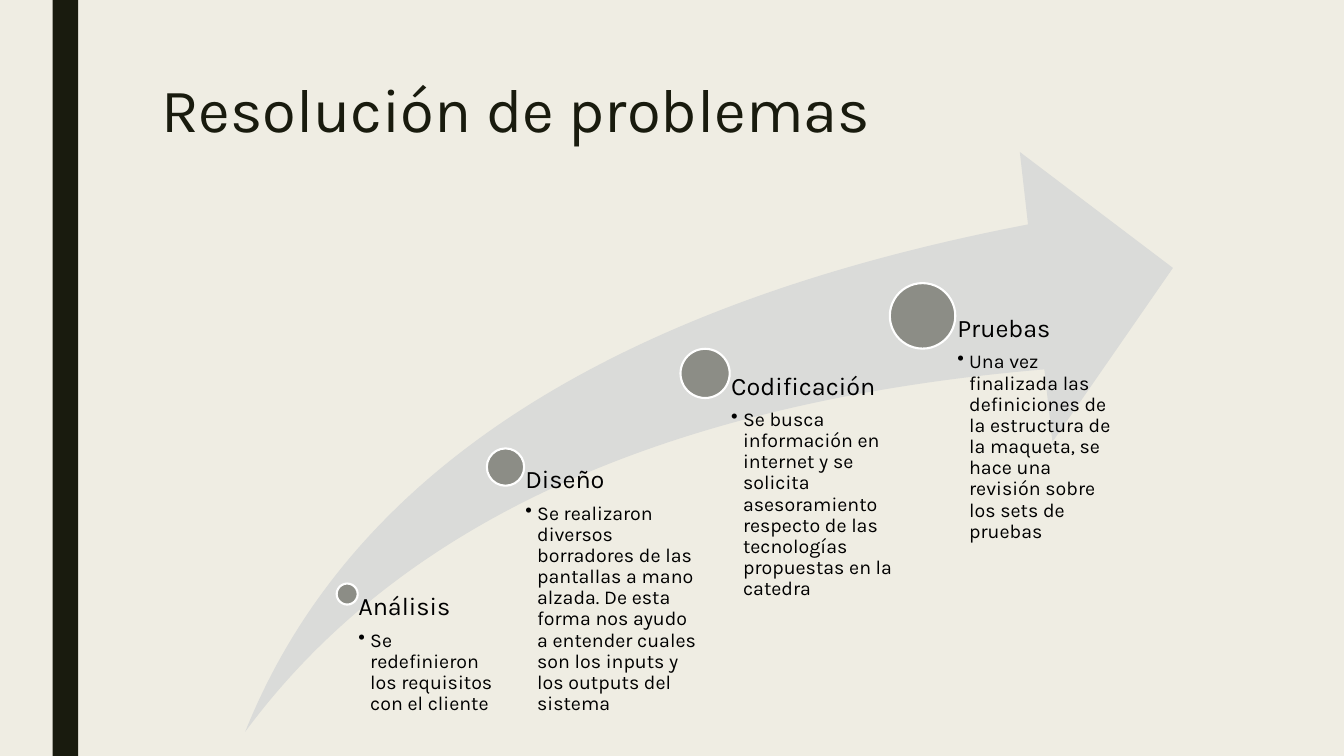
"""Build the problem-solving slide: four growing steps along a swoosh arrow."""
from dataclasses import dataclass

import pptx
import pptx.dml.color
import pptx.enum.shapes
import pptx.oxml
import pptx.oxml.ns
import pptx.shapes.autoshape
import pptx.shapes.shapetree
import pptx.text.text
import pptx.util
from pptx.util import Cm

CREAM = pptx.dml.color.RGBColor(0xEF, 0xED, 0xE3)
DARK_OLIVE = pptx.dml.color.RGBColor(0x19, 0x1B, 0x0E)
PALE_GREY = pptx.dml.color.RGBColor(0xDA, 0xDB, 0xD9)
STONE = pptx.dml.color.RGBColor(0x8C, 0x8D, 0x86)
WHITE = pptx.dml.color.RGBColor(0xFF, 0xFF, 0xFF)
BLACK = pptx.dml.color.RGBColor(0x00, 0x00, 0x00)

FONT = "Karla"
SLIDE_WIDTH, SLIDE_HEIGHT = 33.87, 19.05
DIAGRAM_BOTTOM = 18.44
INSET_PER_DIAMETER = 0.53
BULLET_INDENT = 0.3

Shapes = pptx.shapes.shapetree.SlideShapes | pptx.shapes.shapetree.GroupShapes
Kind = pptx.enum.shapes.MSO_SHAPE


@dataclass(frozen=True)
class Step:
    """A stage: circle centre and diameter, text width (cm) and wording."""

    centre_x: float
    centre_y: float
    diameter: float
    text_width: float
    heading: str
    detail: str


STEPS = [
    Step(8.75, 14.97, 0.53, 3.99, "Análisis",
         "Se redefinieron los requisitos con el cliente"),
    Step(12.74, 11.77, 0.94, 4.9, "Diseño",
         "Se realizaron diversos borradores de las pantallas a mano alzada. "
         "De esta forma nos ayudo a entender cuales son los inputs y los "
         "outputs del sistema"),
    Step(17.77, 9.41, 1.24, 4.9, "Codificación",
         "Se busca información en internet y se solicita asesoramiento "
         "respecto de las tecnologías propuestas en la catedra"),
    Step(23.25, 7.96, 1.65, 4.9, "Pruebas",
         "Una vez finalizada las definiciones de la estructura de la maqueta, "
         "se hace una revisión sobre los sets de pruebas"),
]


def add_filled(shapes: Shapes, kind: Kind, left: float, top: float, width: float,
               height: float, color: pptx.dml.color.RGBColor) -> pptx.shapes.autoshape.Shape:
    """Add a plain filled shape without outline or shadow."""
    shape = shapes.add_shape(kind, Cm(left), Cm(top), Cm(width), Cm(height))
    shape.shadow.inherit = False
    shape.fill.solid()
    shape.fill.fore_color.rgb = color
    shape.line.fill.background()
    return shape


def add_frame(shapes: Shapes, left: float, top: float, width: float,
              height: float) -> pptx.text.text.TextFrame:
    """Add a wrapping text box and return its text frame."""
    box = shapes.add_textbox(Cm(left), Cm(top), Cm(width), Cm(height))
    box.text_frame.word_wrap = True
    return box.text_frame


def write(para: pptx.text.text._Paragraph, text: str, size: float,
          color: pptx.dml.color.RGBColor, line_spacing: float, after: float) -> None:
    """Fill a paragraph with one styled run."""
    para.line_spacing = line_spacing
    para.space_after = pptx.util.Pt(after)
    span = para.add_run()
    span.text = text
    span.font.name = FONT
    span.font.size = pptx.util.Pt(size)
    span.font.color.rgb = color


def add_bullet(para: pptx.text.text._Paragraph) -> None:
    """Give a paragraph a hanging round bullet."""
    para.level = 1
    properties = para._p.get_or_add_pPr()
    properties.set("marL", str(Cm(BULLET_INDENT)))
    properties.set("indent", str(-Cm(BULLET_INDENT)))
    bullet = pptx.oxml.parse_xml(
        f'<a:buChar {pptx.oxml.ns.nsdecls("a")} char="•"/>')
    properties.append(bullet)


def add_step(shapes: Shapes, step: Step) -> None:
    """Draw the circle of a step and the text hanging from its centre."""
    radius = step.diameter / 2
    circle = add_filled(shapes, Kind.OVAL, step.centre_x - radius,
                        step.centre_y - radius, step.diameter, step.diameter, STONE)
    circle.line.color.rgb = WHITE
    circle.line.width = pptx.util.Pt(1.5)

    frame = add_frame(shapes, step.centre_x, step.centre_y, step.text_width,
                      DIAGRAM_BOTTOM - step.centre_y)
    frame.margin_left = Cm(step.diameter * INSET_PER_DIAMETER)
    frame.margin_top = frame.margin_right = frame.margin_bottom = 0
    write(frame.paragraphs[0], step.heading, 18, BLACK, 0.9, 6.3)
    detail = frame.add_paragraph()
    write(detail, step.detail, 14, BLACK, 0.9, 2.1)
    add_bullet(detail)


def main() -> None:
    """Assemble and save the deck."""
    deck = pptx.Presentation()
    deck.slide_width, deck.slide_height = Cm(SLIDE_WIDTH), Cm(SLIDE_HEIGHT)
    page = deck.slides.add_slide(deck.slide_layouts[6])
    page.background.fill.solid()
    page.background.fill.fore_color.rgb = CREAM

    add_filled(page.shapes, Kind.RECTANGLE, 1.33, 0, 0.64, SLIDE_HEIGHT, DARK_OLIVE)
    title = add_frame(page.shapes, 3.81, 1.9, 26.67, 4.11)
    write(title.paragraphs[0], "Resolución de problemas", 44, DARK_OLIVE, 0.89, 0)

    diagram = page.shapes.add_group_shape().shapes
    arrow = add_filled(diagram, Kind.SWOOSH_ARROW, 6.18, 3.83, 23.38, 14.61, PALE_GREY)
    arrow.adjustments[0] = arrow.adjustments[1] = 0.25
    for step in STEPS:
        add_step(diagram, step)

    deck.save("out.pptx")


if __name__ == "__main__":
    main()
